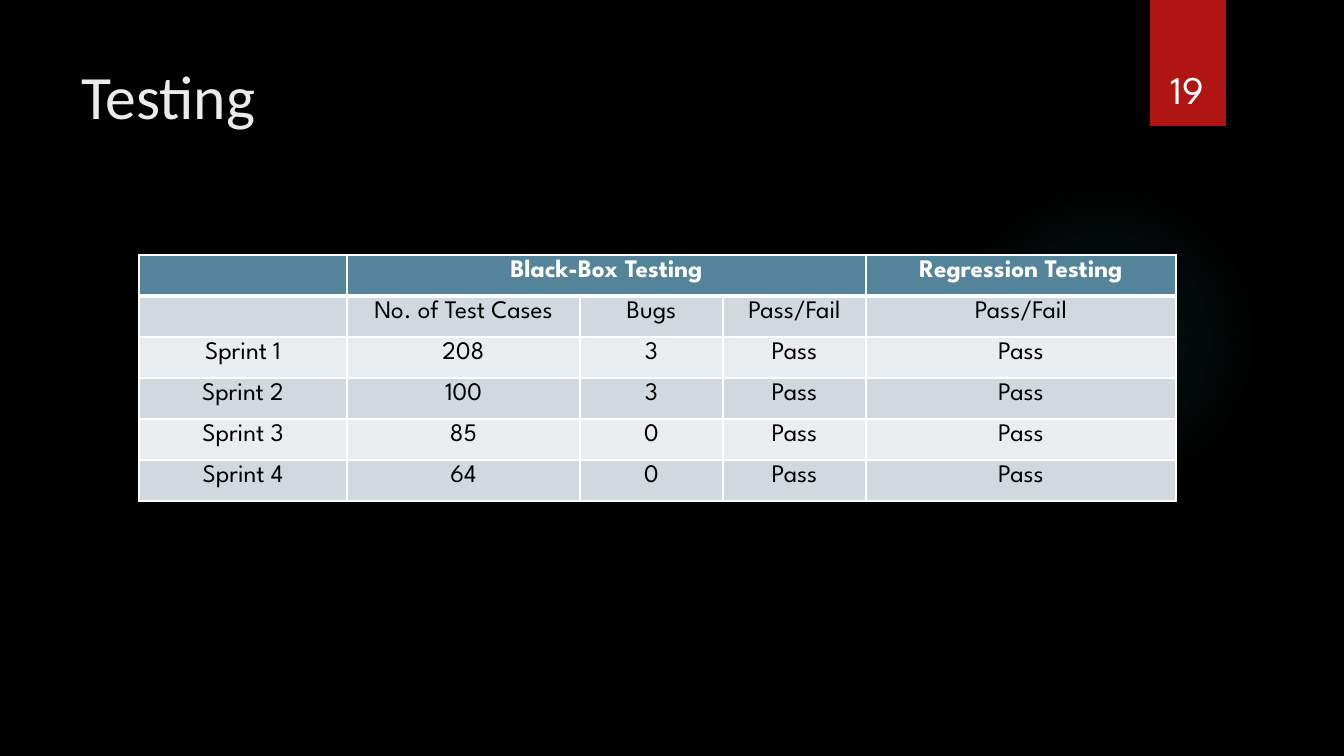
from lxml import etree
from pptx import Presentation, util as u
from pptx.dml.color import RGBColor
from pptx.enum import shapes, text
from pptx.oxml import parse_xml
from pptx.oxml.ns import nsdecls, qn

PX = 914400 / 100.8
HUES = {
    "back": "000000", "glow": "50B9C1", "tab": "B01513", "title": "EBEBEB",
    "white": "FFFFFF", "ink": "000000", "head": "54849A",
    "dark": "D1D9DE", "light": "E9EDEF",
}


def px(*nums):
    return [u.Emu(round(n * PX)) for n in nums]


def write(frame, words, size=18, face="League Spartan", hue="ink", bold=False,
          align=text.PP_ALIGN.CENTER):
    para = frame.paragraphs[0]
    para.alignment = align
    run = para.add_run()
    run.text = words
    run.font.size = u.Pt(size)
    run.font.name = face
    run.font.bold = bold
    run.font.color.rgb = RGBColor.from_string(HUES[hue])


deck = Presentation()
deck.slide_width, deck.slide_height = px(1344, 756)
slide = deck.slides.add_slide(deck.slide_layouts[5])
slide.background.fill.solid()
slide.background.fill.fore_color.rgb = RGBColor.from_string(HUES["back"])

glow = slide.shapes.add_shape(shapes.MSO_SHAPE.OVAL, *px(949, 184, 310, 310))
glow.shadow.inherit = False
glow.line.fill.background()
stops = "".join(
    f'<a:gs pos="{pos}000"><a:srgbClr val="{HUES["glow"]}">'
    f'<a:alpha val="{alpha}000"/></a:srgbClr></a:gs>'
    for pos, alpha in [(0, 7), (36, 6), (69, 0), (100, 0)])
fade = parse_xml(
    f'<a:gradFill {nsdecls("a")}><a:gsLst>{stops}</a:gsLst><a:path path="circle">'
    '<a:fillToRect l="50000" t="50000" r="50000" b="50000"/></a:path></a:gradFill>')
glow.element.spPr.find(qn("a:prstGeom")).addnext(fade)

tab = slide.shapes.add_shape(shapes.MSO_SHAPE.RECTANGLE, *px(1150, 0, 76, 126))
tab.shadow.inherit = False
tab.fill.solid()
tab.fill.fore_color.rgb = RGBColor.from_string(HUES["tab"])
tab.line.fill.background()

page = slide.shapes.add_textbox(*px(1141, 32, 93, 85)).text_frame
page.word_wrap = True
page.vertical_anchor = text.MSO_ANCHOR.BOTTOM
write(page, "19", size=28, hue="white")

title = slide.shapes.title
title.left, title.top, title.width, title.height = px(71, 50, 1037, 85)
title.text_frame.vertical_anchor = text.MSO_ANCHOR.TOP
title.text_frame.margin_top = px(8)[0]
write(title.text_frame, "Testing", size=44, face="Calibri", hue="title",
      align=text.PP_ALIGN.LEFT)

rows = [
    ["", "Black-Box Testing", "", "", "Regression Testing"],
    ["", "No. of Test Cases", "Bugs", "Pass/Fail", "Pass/Fail"],
    ["Sprint 1", "208", "3", "Pass", "Pass"],
    ["Sprint 2", "100", "3", "Pass", "Pass"],
    ["Sprint 3", "85", "0", "Pass", "Pass"],
    ["Sprint 4", "64", "0", "Pass", "Pass"],
]
wide = [208, 233, 143, 143, 310]
grid = slide.shapes.add_table(len(rows), len(wide), *px(139, 255, 1037, 246)).table
for col, width in zip(grid.columns, px(*wide)):
    col.width = width
for row in grid.rows:
    row.height = px(41)[0]
grid.cell(0, 1).merge(grid.cell(0, 3))

for r, row in enumerate(rows):
    band = "head" if r == 0 else "dark" if r % 2 else "light"
    for c, words in enumerate(row):
        cell = grid.cell(r, c)
        if words:
            write(cell.text_frame, words, hue="ink" if r else "white", bold=r == 0)
        props = cell._tc.get_or_add_tcPr()
        for side in ("lnL", "lnR", "lnT", "lnB"):
            thick = 3 if (r, side) in [(0, "lnB"), (1, "lnT")] else 1
            edge = etree.SubElement(props, qn("a:" + side), w=str(u.Pt(thick)))
            paint = etree.SubElement(edge, qn("a:solidFill"))
            etree.SubElement(paint, qn("a:srgbClr"), val=HUES["white"])
        cell.fill.solid()
        cell.fill.fore_color.rgb = RGBColor.from_string(HUES[band])

deck.save("out.pptx")
